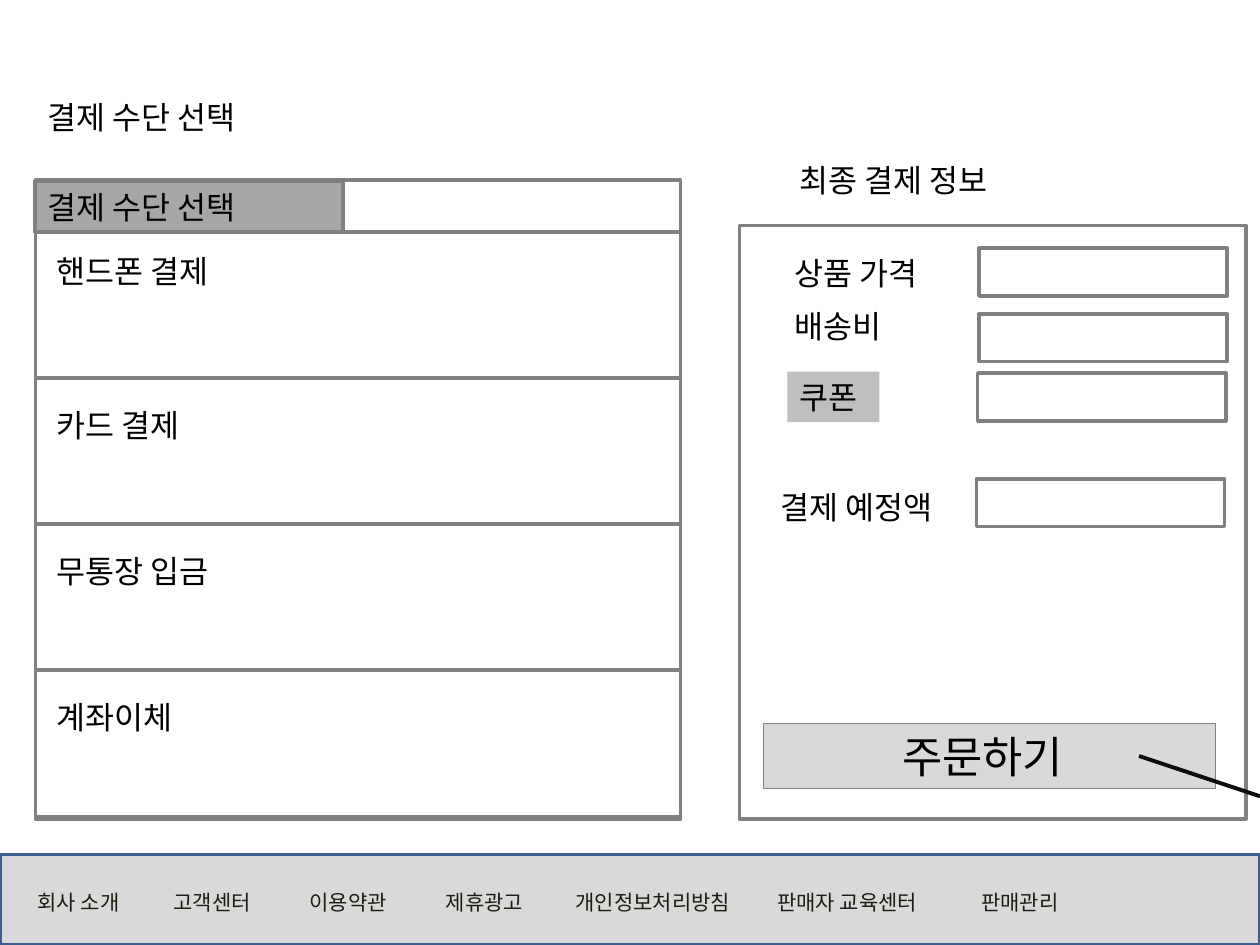
from dataclasses import dataclass

from lxml import etree
from pptx import Presentation
from pptx.dml.color import RGBColor
from pptx.enum.shapes import MSO_CONNECTOR, MSO_SHAPE
from pptx.enum.text import MSO_ANCHOR, MSO_AUTO_SIZE, PP_ALIGN
from pptx.oxml.ns import qn
from pptx.util import Inches, Pt


@dataclass(frozen=True)
class Theme:
    font: str = "Noto Sans CJK KR"
    ink: str = "000000"
    footer_ink: str = "1E1C11"
    paper: str = "FFFFFF"
    border: str = "808080"
    header: str = "A6A6A6"
    chip: str = "BFBFBF"
    soft: str = "D9D9D9"
    footer_border: str = "3A5F8C"
    pointer: str = "0D0D0D"
    label_size: float = 18
    button_size: float = 25
    footer_size: float = 12
    border_width: float = 2
    thick: float = 2.25
    thin: float = 0.75


class Wireframe:
    """Draws wireframe elements on a slide divided into 100 columns and 75 rows."""

    def __init__(self, prs, theme):
        self.theme = theme
        self.col = prs.slide_width / 100
        self.row = prs.slide_height / 75
        self.slide = prs.slides.add_slide(prs.slide_layouts[5])

    def place(self, x, y, w, h):
        return (round(x * self.col), round(y * self.row),
                round(w * self.col), round(h * self.row))

    def caption(self, shape, text, size=None, color=None, indent=1):
        frame = shape.text_frame
        frame.word_wrap = True
        frame.auto_size = MSO_AUTO_SIZE.NONE
        frame.vertical_anchor = MSO_ANCHOR.MIDDLE
        frame.margin_left = round(indent * self.col)
        frame.margin_top = frame.margin_bottom = 0
        paragraph = frame.paragraphs[0]
        paragraph.alignment = PP_ALIGN.LEFT
        run = paragraph.add_run()
        run.text = text
        run.font.name = self.theme.font
        run.font.size = Pt(size or self.theme.label_size)
        run.font.color.rgb = RGBColor.from_string(color or self.theme.ink)
        east_asian = etree.SubElement(run._r.get_or_add_rPr(), qn("a:ea"))
        east_asian.set("typeface", self.theme.font)
        return paragraph

    def title(self, text, *box):
        shape = self.slide.shapes.title
        shape.left, shape.top, shape.width, shape.height = self.place(*box)
        self.caption(shape, text)

    def label(self, text, *box, **style):
        shape = self.slide.shapes.add_textbox(*self.place(*box))
        return self.caption(shape, text, **style)

    def box(self, *box, fill=None, line=None, width=None):
        shape = self.slide.shapes.add_shape(MSO_SHAPE.RECTANGLE, *self.place(*box))
        shape.shadow.inherit = False
        shape.fill.solid()
        shape.fill.fore_color.rgb = RGBColor.from_string(fill or self.theme.paper)
        if width == 0:
            shape.line.fill.background()
        else:
            shape.line.color.rgb = RGBColor.from_string(line or self.theme.border)
            shape.line.width = Pt(width or self.theme.border_width)
        return shape

    def tabbed(self, items, *box, stops, **style):
        paragraph = self.label("\t".join(items), *box, **style)
        tabs = etree.SubElement(paragraph._p.get_or_add_pPr(), qn("a:tabLst"))
        for stop in stops:
            etree.SubElement(tabs, qn("a:tab"), pos=str(round(stop * self.col)), algn="l")

    def pointer(self, x1, y1, x2, y2):
        start, end = self.place(x1, y1, 0, 0)[:2], self.place(x2, y2, 0, 0)[:2]
        line = self.slide.shapes.add_connector(MSO_CONNECTOR.STRAIGHT, *start, *end)
        line.line.color.rgb = RGBColor.from_string(self.theme.pointer)
        line.line.width = Pt(self.theme.thick)
        etree.SubElement(line._element.spPr, qn("a:effectLst"))


def draw_footer(page):
    theme = page.theme
    page.box(0, 67.8, 100, 7.2, fill=theme.soft, line=theme.footer_border)
    links = ["회사 소개", "고객센터", "이용약관", "제휴광고",
             "개인정보처리방침", "판매자 교육센터", "판매관리"]
    page.tabbed(links, 2, 70.1, 95.3, 3, stops=[10.8, 21.6, 32.4, 42.7, 58.7, 74.9],
                size=theme.footer_size, color=theme.footer_ink)


def draw_methods(page):
    theme = page.theme
    left, width, first, step = 2.8, 51.2, 18.4, 11.6
    page.box(left, 14.3, width, 50.7)
    header = page.box(left, 14.4, 24.4, 4, fill=theme.header, width=theme.thick)
    page.caption(header, "결제 수단 선택")
    methods = [("핸드폰 결제", 1.1), ("카드 결제", 1.7), ("무통장 입금", 1.7), ("계좌이체", 1.7)]
    for index, (method, offset) in enumerate(methods):
        top = first + index * step
        page.box(left, top, width, step)
        page.label(method, 3.5, top + offset, 20.2, 4)


def draw_summary(page):
    theme = page.theme
    page.label("최종 결제 정보", 62.5, 12.3, 20.2, 4)
    page.box(58.7, 17.9, 40.2, 47.1)
    for text, x, y in [("상품 가격", 62.1, 19.7), ("배송비", 62.1, 23.9), ("결제 예정액", 61, 38.2)]:
        page.label(text, x, y, 16.7, 4)
    coupon = page.box(62.5, 29.5, 7.3, 4, fill=theme.chip, width=0)
    page.caption(coupon, "쿠폰")
    for x, y in [(77.7, 19.7), (77.7, 24.9), (77.6, 29.6), (77.5, 38)]:
        page.box(x, y, 19.7, 3.8)
    button = page.box(60.6, 57.4, 35.9, 5.2, fill=theme.soft, width=theme.thin)
    page.caption(button, "주문하기", size=theme.button_size, indent=11)
    page.pointer(90.4, 60, 100, 63.2)


prs = Presentation()
prs.slide_width, prs.slide_height = Inches(10), Inches(7.5)
page = Wireframe(prs, Theme())
page.title("결제 수단 선택", 2.8, 7.3, 20.2, 4)
draw_footer(page)
draw_methods(page)
draw_summary(page)
prs.save("out.pptx")
